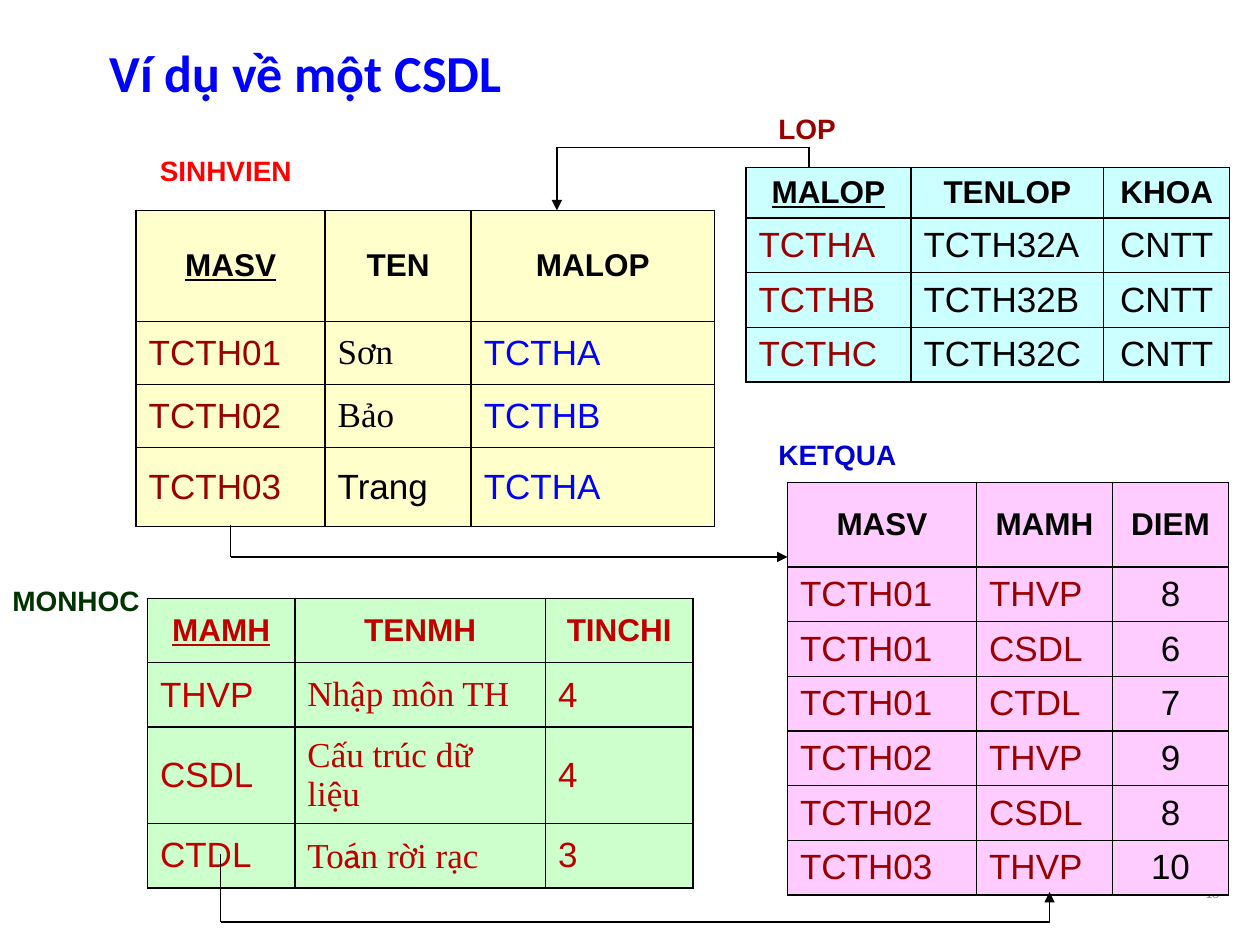
import itertools

import pptx
import pptx.dml.color
import pptx.enum.shapes
import pptx.enum.text
import pptx.oxml
import pptx.oxml.ns
import pptx.util

Inches = pptx.util.Inches
ALIGN = pptx.enum.text.PP_ALIGN
MIDDLE = pptx.enum.text.MSO_ANCHOR.MIDDLE
NS = pptx.oxml.ns.nsdecls("a")
SERIF = "Times New Roman"

COLORS = {
    "black": "000000", "blue": "0000FF", "navy": "0000CC", "red": "FF0000",
    "maroon": "990000", "crimson": "C00000", "forest": "003300", "grey": "8C8C8C",
    "yellow": "FFFFCC", "pink": "FFCCFF", "green": "CCFFCC", "cyan": "CCFFFF",
}


def rgb(name):
    """Return the named colour."""
    return pptx.dml.color.RGBColor.from_string(COLORS[name])


def write(tf, text, size, color, font="Arial", bold=False, underline=None, align=ALIGN.LEFT):
    """Write one paragraph; text is a string or a list of (text, font) runs."""
    p = tf.paragraphs[0]
    p.alignment = align
    runs = [(text, font)] if isinstance(text, str) else text
    for part, face in runs:
        r = p.add_run()
        r.text = part
        r.font.name = face
        r.font.size = pptx.util.Pt(size)
        r.font.bold = bold
        r.font.underline = underline
        r.font.color.rgb = rgb(color)


def add_title(s, box, text):
    """Place the slide title in its placeholder."""
    sp = s.shapes.title
    sp.left, sp.top, sp.width, sp.height = (Inches(v) for v in box)
    tf = sp.text_frame
    tf.auto_size = pptx.enum.text.MSO_AUTO_SIZE.NONE
    tf.vertical_anchor = MIDDLE
    write(tf, text, 29.7, "blue", font="Calibri", bold=True)
    tf.paragraphs[0].line_spacing = 0.9


def add_label(s, box, text, wrap=False, **fmt):
    """Place a vertically centred text box."""
    tf = s.shapes.add_textbox(*(Inches(v) for v in box)).text_frame
    tf.word_wrap = wrap
    tf.vertical_anchor = MIDDLE
    write(tf, text, **fmt)


def outline(cell):
    """Give a cell thin black borders on all sides."""
    tc_pr = cell._tc.get_or_add_tcPr()
    for side in ("lnL", "lnR", "lnT", "lnB"):
        tc_pr.append(pptx.oxml.parse_xml(
            f'<a:{side} {NS} w="12700"><a:solidFill>'
            f'<a:srgbClr val="{COLORS["black"]}"/></a:solidFill></a:{side}>'))


def add_relation(s, left, top, name, widths, heights, header, rows, columns, fill,
                 key=None, head_color="black"):
    """Draw one relation: its name, given as an offset label, and its table."""
    dx, dy, width, text, color = name
    add_label(s, (left + dx, top + dy, width, 0.37), text, size=16, color=color, bold=True)
    frame = s.shapes.add_table(len(heights), len(widths), Inches(left), Inches(top),
                               Inches(sum(widths)), Inches(sum(heights)))
    table = frame.table
    table.first_row = table.horz_banding = False
    for column, width in zip(table.columns, widths):
        column.width = Inches(width)
    for row, height in zip(table.rows, heights):
        row.height = Inches(height)
    for i, values in enumerate([header] + rows):
        for j, value in enumerate(values):
            cell = table.cell(i, j)
            outline(cell)
            cell.fill.solid()
            cell.fill.fore_color.rgb = rgb(fill)
            cell.vertical_anchor = MIDDLE
            if i == 0:
                write(cell.text_frame, value, 18, head_color, bold=True,
                      underline=value == key or None, align=ALIGN.CENTER)
            else:
                write(cell.text_frame, value, 20, **columns[j])


def add_reference(s, points):
    """Draw a key reference through the points, with an arrowhead at the last."""
    group = s.shapes.add_group_shape()
    for start, end in itertools.pairwise(points):
        line = group.shapes.add_connector(
            pptx.enum.shapes.MSO_CONNECTOR.STRAIGHT, *(Inches(v) for v in start + end))
        line.line.width = pptx.util.Pt(1)
        line.line.color.rgb = rgb("black")
        line._element.spPr.append(pptx.oxml.parse_xml(f"<a:effectLst {NS}/>"))
    line.line._get_or_add_ln().append(
        pptx.oxml.parse_xml(f'<a:tailEnd {NS} type="triangle"/>'))


def main():
    """Build the slide and save it."""
    prs = pptx.Presentation()
    prs.slide_width, prs.slide_height = Inches(10), Inches(7.5)
    s = prs.slides.add_slide(prs.slide_layouts[5])
    maroon = {"color": "maroon"}
    crimson = {"color": "crimson"}
    centred = {"color": "black", "align": ALIGN.CENTER}

    add_title(s, (0.77, 0.33, 9.23, 0.54), "Ví dụ về một CSDL")
    add_label(s, (7.7, 6.83, 2.08, 0.5), "10", wrap=True, size=9, color="grey",
              font="Cambria", align=ALIGN.RIGHT)

    add_relation(
        s, 1.08, 1.67, (0.09, -0.5, 1.25, "SINHVIEN", "red"),
        [1.5, 1.16, 1.93], [0.88, 0.5, 0.5, 0.63], ["MASV", "TEN", "MALOP"],
        [["TCTH01", "Sơn", "TCTHA"],
         ["TCTH02", "Bảo", "TCTHB"],
         ["TCTH03", [("Trang", "Arial")], "TCTHA"]],
        [maroon, {"color": "black", "font": SERIF}, {"color": "blue"}],
        "yellow", key="MASV")
    add_relation(
        s, 6.25, 3.83, (-0.17, -0.41, 1.14, "KETQUA", "navy"),
        [1.5, 1.08, 0.92], [0.67] + [0.39] * 6, ["MASV", "MAMH", "DIEM"],
        [["TCTH01", "THVP", "8"],
         ["TCTH01", "CSDL", "6"],
         ["TCTH01", "CTDL", "7"],
         ["TCTH02", "THVP", "9"],
         ["TCTH02", "CSDL", "8"],
         ["TCTH03", "THVP", "10"]],
        [maroon, maroon, centred], "pink")
    add_relation(
        s, 1.17, 4.75, (-1.17, -0.17, 1.25, "MONHOC", "forest"),
        [1.17, 1.99, 1.17], [0.51] * 4, ["MAMH", "TENMH", "TINCHI"],
        [["THVP", "Nhập môn TH", "4"],
         ["CSDL", "Cấu trúc dữ liệu", "4"],
         ["CTDL", [("To", SERIF), ("á", "Cabin"), ("n rời rạc", SERIF)], "3"]],
        [crimson, {"color": "crimson", "font": SERIF}, crimson],
        "green", key="MAMH", head_color="crimson")
    add_relation(
        s, 5.92, 1.33, (0.16, -0.5, 0.66, "LOP", "maroon"),
        [1.31, 1.53, 1], [0.4] * 4, ["MALOP", "TENLOP", "KHOA"],
        [["TCTH" + c, "TCTH32" + c, "CNTT"] for c in "ABC"],
        [maroon, {"color": "black"}, centred], "cyan", key="MALOP")

    add_reference(s, [(6.42, 1.33), (6.42, 1.17), (4.42, 1.17), (4.42, 1.67)])
    add_reference(s, [(1.75, 6.78), (1.75, 7.32), (8.33, 7.32), (8.33, 7.08)])
    add_reference(s, [(1.83, 4.17), (1.83, 4.42), (6.25, 4.42)])
    prs.save("out.pptx")


if __name__ == "__main__":
    main()
